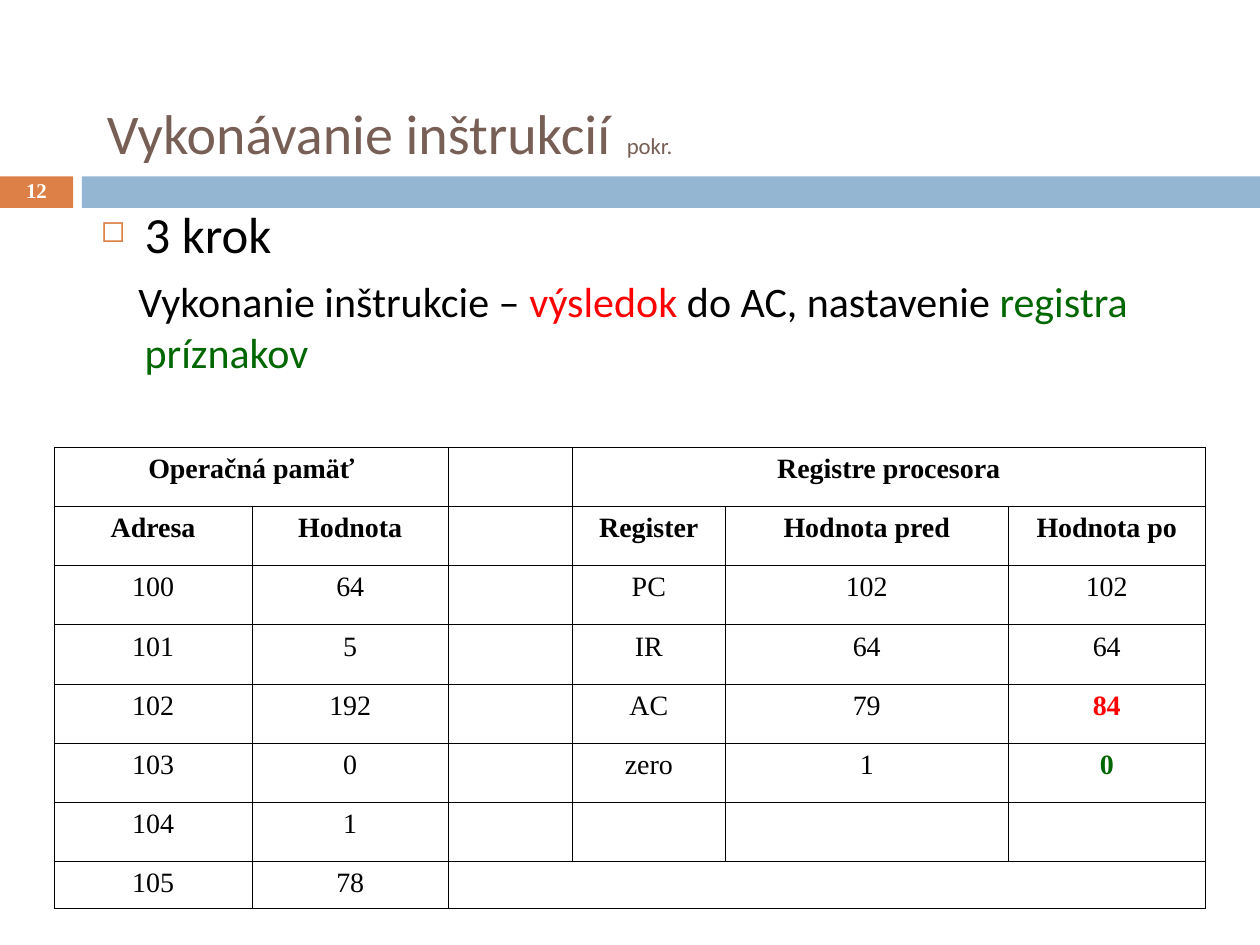
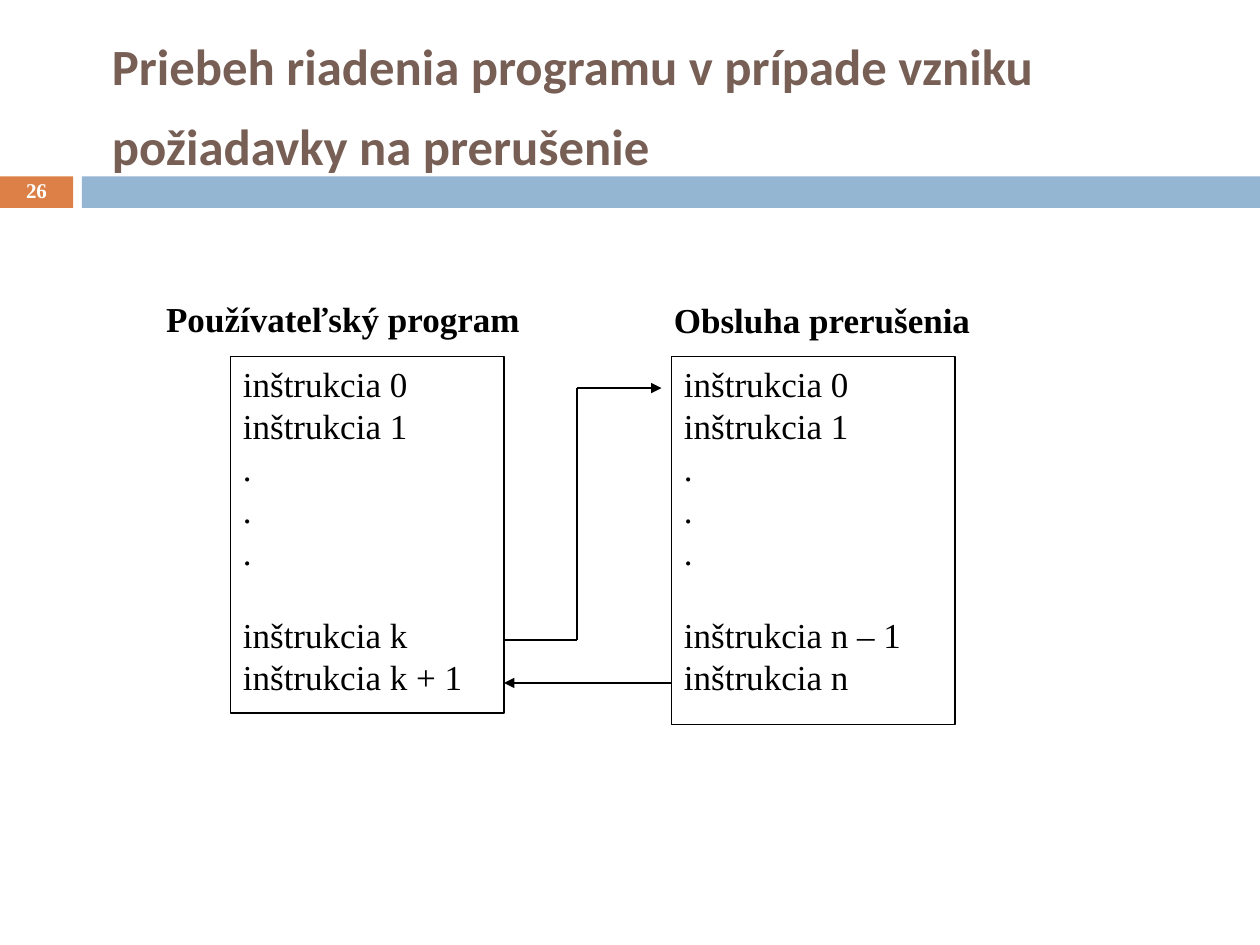
import dataclasses

import pptx
import pptx.dml.color
import pptx.enum.shapes
import pptx.enum.text
import pptx.oxml.ns
import pptx.oxml.xmlchemy
import pptx.util
from lxml import etree

Inches = pptx.util.Inches
Pt = pptx.util.Pt
qn = pptx.oxml.ns.qn
ALIGN = pptx.enum.text.PP_ALIGN
ANCHOR = pptx.enum.text.MSO_ANCHOR
RECTANGLE = pptx.enum.shapes.MSO_SHAPE.RECTANGLE


@dataclasses.dataclass(frozen=True)
class Theme:
    sans: str = "Calibri"
    serif: str = "Times New Roman"
    title: str = "775F55"
    accent: str = "DD8047"
    band: str = "94B6D2"
    ink: str = "000000"
    paper: str = "FFFFFF"
    result: str = "FF0000"
    flag: str = "006600"
    title_size: int = 32
    title_gap_size: int = 40
    suffix_size: int = 13
    step_size: int = 29
    detail_size: int = 24
    number_size: int = 12
    table_size: int = 16
    code_size: int = 20
    line_width: float = 0.75
    border_width: float = 0.45


THEME = Theme()


def rgb(color):
    return pptx.dml.color.RGBColor.from_string(color)


def style(font, size=None, color=None, name=None, bold=None):
    if size:
        font.size = Pt(size)
    if color:
        font.color.rgb = rgb(color)
    if name:
        font.name = name
    if bold is not None:
        font.bold = bold


def add_spans(para, spans):
    """Add (text, style changes) pairs as runs."""
    for text, changes in spans:
        span = para.add_run()
        span.text = text
        style(span.font, **changes)


def add_box(page, area, anchor=ANCHOR.TOP):
    box = page.shapes.add_textbox(*map(Inches, area))
    box.text_frame.word_wrap = True
    box.text_frame.vertical_anchor = anchor
    return box.text_frame


def add_rectangle(page, area, fill, line=None):
    shape = page.shapes.add_shape(RECTANGLE, *map(Inches, area))
    shape.shadow.inherit = False
    shape.fill.solid()
    shape.fill.fore_color.rgb = rgb(fill)
    if line:
        shape.line.color.rgb = rgb(line)
        shape.line.width = Pt(THEME.line_width)
    else:
        shape.line.fill.background()
    return shape


def add_page(deck, number, title_area, title_spans, title_size, bold=False):
    """Add a page with its bands, number and title."""
    page = deck.slides.add_slide(deck.slide_layouts[6])
    add_rectangle(page, (0, 1.4, 0.58, 0.25), THEME.accent)
    add_rectangle(page, (0.65, 1.4, 9.35, 0.25), THEME.band)

    para = add_box(page, title_area, ANCHOR.MIDDLE).paragraphs[0]
    style(para.font, title_size, THEME.title, THEME.sans, bold)
    add_spans(para, title_spans)

    para = add_box(page, (0, 1.39, 0.58, 0.27), ANCHOR.MIDDLE).paragraphs[0]
    para.text = str(number)
    para.alignment = ALIGN.CENTER
    para.line_spacing = 0.8
    style(para.font, THEME.number_size, THEME.paper, THEME.serif, True)
    return page


def set_indent(para, left, first):
    properties = para._p.get_or_add_pPr()
    properties.set("marL", str(Inches(left)))
    properties.set("indent", str(Inches(first)))
    return properties


def add_bullet(properties):
    color = etree.SubElement(properties, qn("a:buClr"))
    etree.SubElement(color, qn("a:srgbClr"), val=THEME.accent)
    etree.SubElement(properties, qn("a:buSzPct"), val="60000")
    etree.SubElement(properties, qn("a:buChar"), char="◻")


def add_step(page, area, heading, detail_spans):
    frame = add_box(page, area)
    para = frame.paragraphs[0]
    para.text = heading
    add_bullet(set_indent(para, 0.35, -0.35))
    style(para.font, THEME.step_size, THEME.ink, THEME.sans)

    para = frame.add_paragraph()
    para.space_before = Pt(7)
    set_indent(para, 0.35, -0.05)
    style(para.font, THEME.detail_size, THEME.ink, THEME.sans)
    add_spans(para, detail_spans)


def set_borders(cell):
    properties = cell._tc.get_or_add_tcPr()
    for position, side in enumerate(("lnL", "lnR", "lnT", "lnB")):
        line = etree.Element(qn("a:" + side), w=str(Pt(THEME.border_width)))
        fill = etree.SubElement(line, qn("a:solidFill"))
        etree.SubElement(fill, qn("a:srgbClr"), val=THEME.ink)
        properties.insert(position, line)


def add_grid(page, corner, widths, heights, rows, spans, highlights, header_rows):
    """Add a bordered table; spans are (row, first column, last column)."""
    area = (*corner, sum(widths), sum(heights))
    table = page.shapes.add_table(len(rows), len(widths), *map(Inches, area)).table
    table.first_row = table.horz_banding = False
    for column, width in zip(table.columns, widths):
        column.width = Inches(width)
    for row, height in zip(table.rows, heights):
        row.height = Inches(height)
    for r, texts in enumerate(rows):
        for c, text in enumerate(texts):
            cell = table.cell(r, c)
            cell.fill.background()
            set_borders(cell)
            if not text:
                cell.margin_top = cell.margin_bottom = 0
            para = cell.text_frame.paragraphs[0]
            para.text = text
            para.alignment = ALIGN.CENTER
            color = highlights.get((r, c))
            bold = r < header_rows or color is not None
            style(para.font, THEME.table_size, color or THEME.ink, THEME.serif, bold)
    for row, first, last in spans:
        table.cell(row, first).merge(table.cell(row, last))


def add_label(page, area, text):
    para = add_box(page, area).paragraphs[0]
    para.text = text
    style(para.font, THEME.code_size, THEME.ink, THEME.serif, True)


def add_listing(page, area, opening, closing):
    """Add a framed instruction list with a gap before its closing lines."""
    frame = add_rectangle(page, area, THEME.paper, THEME.ink).text_frame
    frame.word_wrap = True
    frame.vertical_anchor = ANCHOR.TOP
    for index, text in enumerate(opening + closing):
        para = frame.add_paragraph() if index else frame.paragraphs[0]
        para.text = text
        para.alignment = ALIGN.LEFT
        if index == len(opening):
            para.space_before = Pt(23)
        style(para.font, THEME.code_size, THEME.ink, THEME.serif, False)


def add_line(page, start, end, arrow=False):
    line = page.shapes.add_connector(
        pptx.enum.shapes.MSO_CONNECTOR.STRAIGHT, *map(Inches, start + end))
    line.line.color.rgb = rgb(THEME.ink)
    line.line.width = Pt(THEME.line_width)
    if arrow:
        etree.SubElement(line.line._get_or_add_ln(), qn("a:tailEnd"), type="triangle")
    etree.SubElement(line._element.spPr, qn("a:effectLst"))


def build_execution_page(deck):
    gap = (" ", {"size": THEME.title_gap_size})
    page = add_page(
        deck, 12, (0.75, 0.67, 8.5, 0.67),
        [("Vykonávanie inštrukcií", {}), gap, ("pokr.", {"size": THEME.suffix_size})],
        THEME.title_size)
    add_step(page, (0.7, 1.56, 8.5, 1.64), "3 krok", [
        ("Vykonanie inštrukcie – ", {}),
        ("výsledok", {"color": THEME.result}),
        (" do AC, nastavenie ", {}),
        ("registra príznakov", {"color": THEME.flag}),
    ])
    rows = [
        ("Operačná pamäť", "", "", "Registre procesora", "", ""),
        ("Adresa", "Hodnota", "", "Register", "Hodnota pred", "Hodnota po"),
        ("100", "64", "", "PC", "102", "102"),
        ("101", "5", "", "IR", "64", "64"),
        ("102", "192", "", "AC", "79", "84"),
        ("103", "0", "", "zero", "1", "0"),
        ("104", "1", "", "", "", ""),
        ("105", "78", "", "", "", ""),
    ]
    add_grid(
        page, (0.43, 3.55), (1.57, 1.56, 0.98, 1.22, 2.24, 1.57),
        [0.47] * 7 + [0.37], rows,
        spans=[(0, 0, 1), (0, 3, 5), (7, 2, 5)],
        highlights={(4, 5): THEME.result, (5, 5): THEME.flag},
        header_rows=2)


def build_interrupt_page(deck):
    title = "Priebeh riadenia programu v prípade vzniku požiadavky na prerušenie"
    page = add_page(
        deck, 26, (0.79, 0.31, 8.92, 1.08),
        [(title, {}), (" ", {"size": THEME.title_gap_size})],
        THEME.step_size, bold=True)

    opening = ["inštrukcia 0", "inštrukcia 1", ".", ".", "."]
    program_right, handler_left, top = 4, 5.33, 2.83
    add_listing(page, (1.83, top, program_right - 1.83, 2.83), opening,
                ["inštrukcia k", "inštrukcia k + 1"])
    add_listing(page, (handler_left, top, 2.25, 2.92), opening,
                ["inštrukcia n – 1", "inštrukcia n"])

    bend, entry, call, resume = 4.58, 3.08, 5.08, 5.42
    add_line(page, (program_right, call), (bend, call))
    add_line(page, (bend, call), (bend, entry))
    add_line(page, (bend, entry), (5.25, entry), arrow=True)
    add_line(page, (handler_left, resume), (program_right, resume), arrow=True)

    add_label(page, (1.22, 2.31, 3.08, 0.44), "Používateľský program")
    add_label(page, (5.25, 2.32, 3.57, 0.44), "Obsluha prerušenia")


def main():
    deck = pptx.Presentation()
    deck.slide_width, deck.slide_height = Inches(10), Inches(7.5)
    build_execution_page(deck)
    build_interrupt_page(deck)
    deck.save("out.pptx")


if __name__ == "__main__":
    main()
